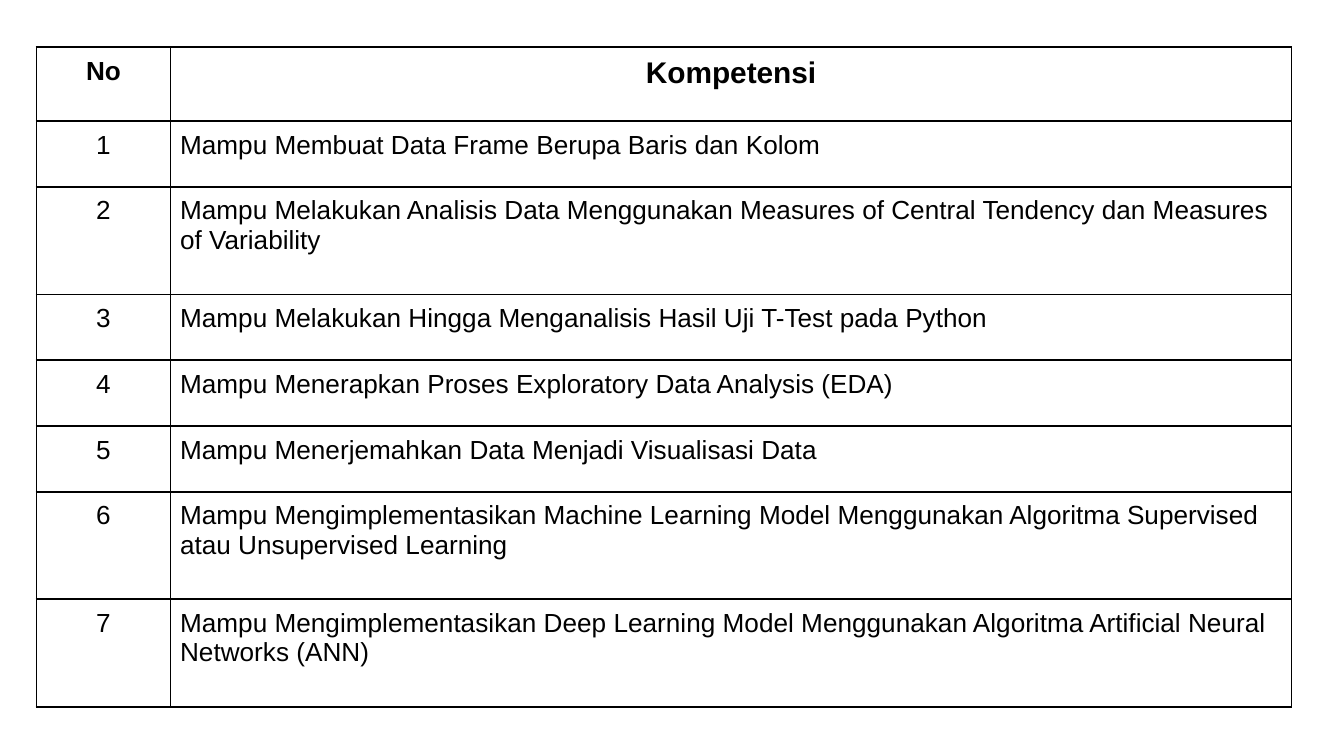
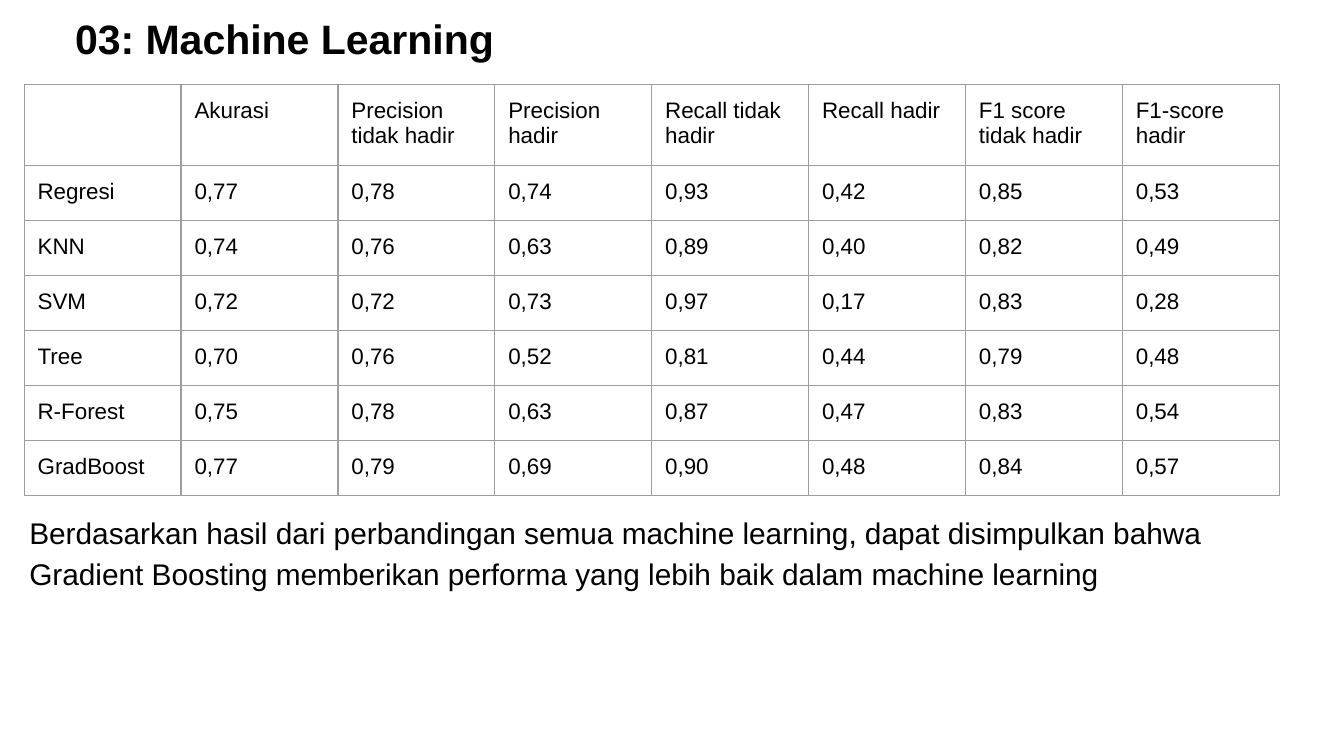
from lxml import etree
from pptx import Presentation
from pptx import util as u
from pptx.dml.color import RGBColor
from pptx.enum import text
from pptx.oxml.ns import qn

COLOURS = {"ink": "000000", "grid": "9E9E9E"}
FONT = "Arial"

COMPETENCIES = [
    "Mampu Membuat Data Frame Berupa Baris dan Kolom",
    "Mampu Melakukan Analisis Data Menggunakan Measures of Central Tendency dan Measures of Variability",
    "Mampu Melakukan Hingga Menganalisis Hasil Uji T-Test pada Python",
    "Mampu Menerapkan Proses Exploratory Data Analysis (EDA)",
    "Mampu Menerjemahkan Data Menjadi Visualisasi Data",
    "Mampu Mengimplementasikan Machine Learning Model Menggunakan Algoritma Supervised atau Unsupervised Learning",
    "Mampu Mengimplementasikan Deep Learning Model Menggunakan Algoritma Artificial Neural Networks (ANN)",
]
COMPETENCY_HEADINGS = ("No", "Kompetensi")
LONG_COMPETENCY = 80

TITLE = "03: Machine Learning"
SCORES = [
    ("", "Akurasi", "Precision tidak hadir", "Precision hadir", "Recall tidak hadir",
     "Recall hadir", "F1 score tidak hadir", "F1-score hadir"),
    ("Regresi", "0,77", "0,78", "0,74", "0,93", "0,42", "0,85", "0,53"),
    ("KNN", "0,74", "0,76", "0,63", "0,89", "0,40", "0,82", "0,49"),
    ("SVM", "0,72", "0,72", "0,73", "0,97", "0,17", "0,83", "0,28"),
    ("Tree", "0,70", "0,76", "0,52", "0,81", "0,44", "0,79", "0,48"),
    ("R-Forest", "0,75", "0,78", "0,63", "0,87", "0,47", "0,83", "0,54"),
    ("GradBoost", "0,77", "0,79", "0,69", "0,90", "0,48", "0,84", "0,57"),
]
SCORES_WIDTH = 9.34
CONCLUSION = (
    "Berdasarkan hasil dari perbandingan semua machine learning, dapat disimpulkan bahwa "
    "Gradient Boosting memberikan performa yang lebih baik dalam machine learning"
)


def write(frame, content, size=12, bold=False, align=text.PP_ALIGN.LEFT, spacing=None):
    paragraph = frame.paragraphs[0]
    paragraph.text = content
    paragraph.alignment = align
    if spacing:
        paragraph.line_spacing = spacing
    font = paragraph.font
    font.name, font.size, font.bold = FONT, u.Pt(size), bold
    font.color.rgb = RGBColor.from_string(COLOURS["ink"])


def set_margins(target, margin):
    target.margin_left = target.margin_right = u.Inches(margin)
    target.margin_top = target.margin_bottom = u.Inches(margin)


def add_text(slide, content, box, **style):
    frame = slide.shapes.add_textbox(*map(u.Inches, box)).text_frame
    frame.word_wrap = True
    frame.vertical_anchor = text.MSO_ANCHOR.TOP
    set_margins(frame, 0.1)
    write(frame, content, **style)


def set_borders(cell, colour, width):
    properties = cell._tc.get_or_add_tcPr()
    for side in ("a:lnL", "a:lnR", "a:lnT", "a:lnB"):
        line = etree.SubElement(properties, qn(side), w=str(u.Pt(width)))
        fill = etree.SubElement(line, qn("a:solidFill"))
        etree.SubElement(fill, qn("a:srgbClr"), val=colour)


def add_grid(slide, rows, left, top, widths, heights, margin, border, style_for):
    box = map(u.Inches, (left, top, sum(widths), sum(heights)))
    table = slide.shapes.add_table(len(rows), len(widths), *box).table
    table.first_row = table.horz_banding = False
    for column, width in zip(table.columns, widths):
        column.width = u.Inches(width)
    for row, height in zip(table.rows, heights):
        row.height = u.Inches(height)
    for r, values in enumerate(rows):
        for c, value in enumerate(values):
            cell = table.cell(r, c)
            set_margins(cell, margin)
            set_borders(cell, *border)
            cell.fill.background()
            write(cell.text_frame, value, **style_for(r, c))


def competency_style(row, column):
    heading = row == 0
    centred = heading or column == 0
    return {
        "size": 16 if heading and column == 1 else 14,
        "bold": heading,
        "align": text.PP_ALIGN.CENTER if centred else text.PP_ALIGN.LEFT,
    }


def build_competencies(slide):
    rows = [COMPETENCY_HEADINGS]
    rows += [(str(number), item) for number, item in enumerate(COMPETENCIES, 1)]
    heights = [0.55] + [0.8 if len(item) > LONG_COMPETENCY else 0.49 for item in COMPETENCIES]
    add_grid(slide, rows, 0.27, 0.35, (1, 8.34), heights, 0.07,
             (COLOURS["ink"], 1), competency_style)


def build_scores(slide):
    add_text(slide, TITLE, (0.46, 0, 5.49, 0.63),
             size=22, bold=True, align=text.PP_ALIGN.JUSTIFY)
    add_text(slide, CONCLUSION, (0.12, 3.69, 9.76, 2.25), size=16, spacing=1.15)
    columns = len(SCORES[0])
    widths = [SCORES_WIDTH / columns] * columns
    heights = [0.5] + [0.41] * (len(SCORES) - 1)
    add_grid(slide, SCORES, 0.18, 0.63, widths, heights, 0.1,
             (COLOURS["grid"], 0.75), lambda row, column: {"size": 12})


def main():
    presentation = Presentation()
    presentation.slide_width = u.Inches(10)
    presentation.slide_height = presentation.slide_width * 9 // 16
    for build in (build_competencies, build_scores):
        build(presentation.slides.add_slide(presentation.slide_layouts[6]))
    presentation.save("out.pptx")


if __name__ == "__main__":
    main()
